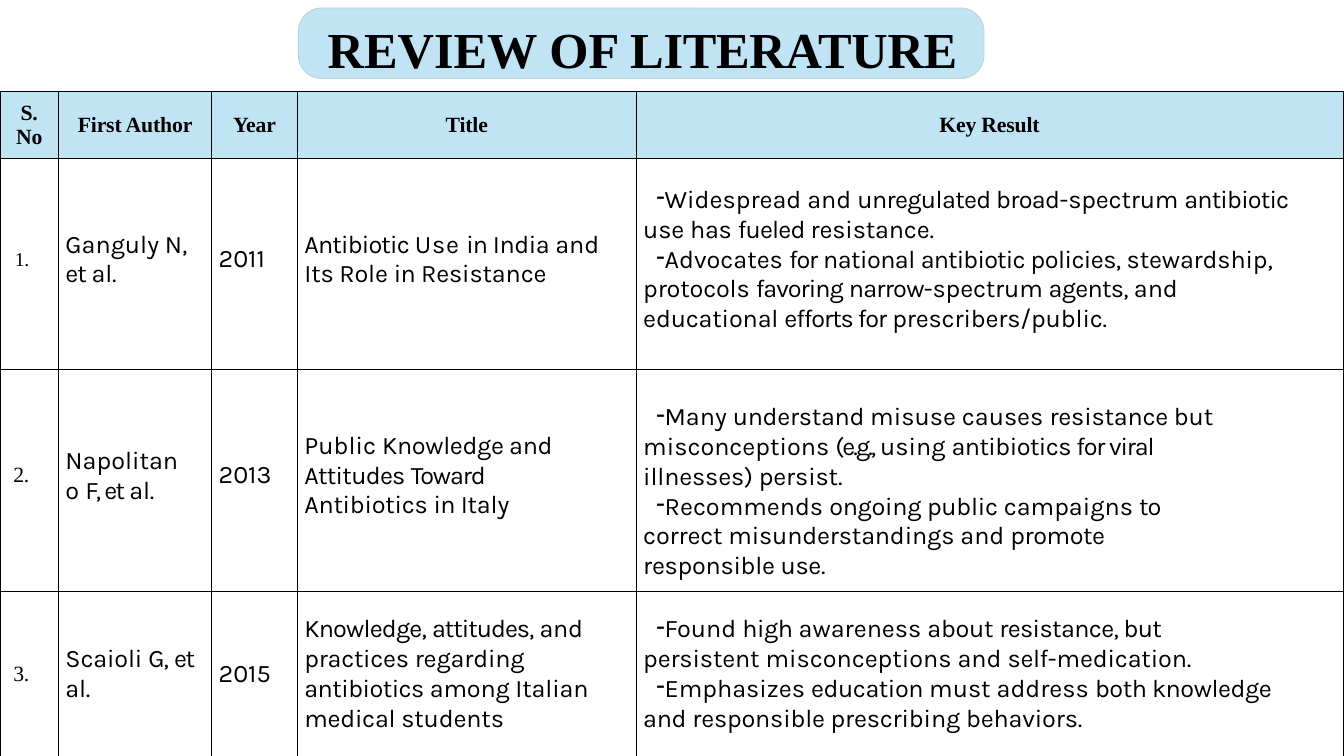
from pptx import Presentation
from pptx.dml.color import RGBColor
from pptx.enum.shapes import MSO_SHAPE as Shape
from pptx.enum.text import MSO_ANCHOR as Anchor, MSO_AUTO_SIZE as AutoSize, PP_ALIGN as Align
from pptx.oxml import parse_xml
from pptx.oxml.ns import nsdecls
from pptx.util import Pt

SCALE = 9144  # EMU per px, 100 px to the inch
SERIF, SANS = "Times New Roman", "Karla"
BLACK, SKY, EDGE = "000000", "C1E4F5", "BED2D7"

COLUMN_WIDTHS = [58, 152, 85, 336, 701]
ROW_HEIGHTS = [66, 210, 214, 169]
HEADERS = [["S.", "No"], ["First Author"], ["Year"], ["Title"], ["Key Result"]]

# A paragraph is a list of (text, letter spacing in points) runs
STUDIES = [
    {
        "number": "1.", "number_size": 14, "year": "2011",
        "author": [("Ganguly N, ", 0), ("et ", -0.8), ("al.", -0.2)],
        "title": [("Antibiotic ", -0.6), ("Use ", 0.5), ("in ", -0.8), ("India ", -0.3),
                  ("and ", 0), ("Its Role ", -0.15), ("in ", -0.5), ("Resistance", -0.1)],
        "results": [
            [("Widespread and ", 0), ("unregulated broad-", -0.45), ("spectrum ", -0.1),
             ("antibiotic ", -0.6), ("use has ", -0.1), ("fueled ", -0.6), ("resistance.", -0.1)],
            [("Advocates ", 0), ("for ", -0.8), ("national ", -0.4), ("antibiotic ", -0.6),
             ("policies, ", -0.4), ("stewardship, protocols ", -0.1), ("favoring ", -0.7),
             ("narrow-", -0.5), ("spectrum ", -0.1), ("agents, ", -0.5), ("and ", 0),
             ("educational ", -0.1), ("efforts for ", -0.75), ("prescribers/public.", -0.1)],
        ],
        "right": {"author": 5, "title": 20, "results": 32}, "bottom": 9, "results_top": 0,
    },
    {
        "number": "2.", "number_size": 15.5, "year": "2013",
        "author": [("Napolitano ", 0), ("F, ", -1.9), ("et ", -1.2), ("al.", -0.2)],
        "title": [("Public ", 0), ("Knowledge and ", -0.25), ("Attitudes ", -0.5),
                  ("Toward ", -0.8), ("Antibiotics ", -0.2), ("in ", -0.5), ("Italy", -0.1)],
        "results": [
            [("Many ", 0), ("understand ", -0.2), ("misuse causes ", 0), ("resistance but ", -0.15),
             ("misconceptions ", 0), ("(e.g., ", -1.4), ("using ", 0), ("antibiotics", -0.4),
             (" for viral ", -0.85), ("illnesses) persist.", -0.1)],
            [("Recommends ", 0), ("ongoing public ", -0.2), ("campaigns ", 0), ("to ", -0.6),
             ("correct misunderstandings ", -0.1), ("and ", 0), ("promote ", -0.3),
             ("responsible use.", -0.2)],
        ],
        "right": {"author": 30, "title": 47, "results": 114}, "bottom": 10, "results_top": 32,
    },
    {
        "number": "3.", "number_size": 15.5, "year": "2015",
        "author": [("Scaioli ", -0.1), ("G, ", -0.6), ("et ", -1), ("al.", -0.2)],
        "title": [("Knowledge, ", -0.6), ("attitudes, ", -0.7), ("and practices ", -0.2),
                  ("regarding ", -0.1), ("antibiotics ", -0.4), ("among Italian ", -0.1),
                  ("medical ", -0.2), ("students", -0.1)],
        "results": [
            [("Found ", 0), ("high ", -0.3), ("awareness ", 0), ("about ", -0.2),
             ("resistance, but ", -0.45), ("persistent ", -0.1), ("misconceptions and ", 0),
             ("self-", -0.3), ("medication.", -0.1)],
            [("Emphasizes ", 0), ("education ", -0.3), ("must address ", 0),
             ("both knowledge ", -0.35), ("and ", -0.2), ("responsible prescribing ", -0.15),
             ("behaviors.", -0.1)],
        ],
        "right": {"author": 5, "title": 47, "results": 64}, "bottom": 5, "results_top": 0,
    },
]


def px(length):
    return int(length * SCALE)


def color(hex_code):
    return RGBColor.from_string(hex_code)


def set_margins(target, left=0, top=0, right=0, bottom=0):
    target.margin_left, target.margin_top = px(left), px(top)
    target.margin_right, target.margin_bottom = px(right), px(bottom)


def add_bullet(paragraph):
    properties = paragraph._p.get_or_add_pPr()
    properties.set("marL", str(px(7)))
    properties.set("indent", str(px(13)))
    properties.append(parse_xml(f'<a:buChar {nsdecls("a")} char="-"/>'))
    properties.append(parse_xml(
        f'<a:tabLst {nsdecls("a")}><a:tab pos="{px(21)}" algn="l"/></a:tabLst>'))


def write_text(frame, paragraphs, font=SANS, size=18, bold=False, align=Align.LEFT,
               line_spacing=None, bullet=False):
    for index, runs in enumerate(paragraphs):
        paragraph = frame.add_paragraph() if index else frame.paragraphs[0]
        if bullet:
            add_bullet(paragraph)
        paragraph.alignment = align
        paragraph.space_before = Pt(0)
        if line_spacing:
            paragraph.line_spacing = line_spacing
        for text, spacing in runs:
            run = paragraph.add_run()
            run.text = text
            run.font.name, run.font.size, run.font.bold = font, Pt(size), bold
            run.font.color.rgb = color(BLACK)
            if spacing:
                run._r.get_or_add_rPr().set("spc", str(round(spacing * 100)))


def set_borders(cell, widths):
    properties = cell._tc.get_or_add_tcPr()
    for index, (side, width) in enumerate(widths.items()):
        properties.insert(index, parse_xml(
            f'<a:ln{side} {nsdecls("a")} w="{Pt(width)}"><a:solidFill>'
            f'<a:srgbClr val="{BLACK}"/></a:solidFill></a:ln{side}>'))


def add_review_table(slide):
    rows, columns = len(ROW_HEIGHTS), len(COLUMN_WIDTHS)
    table = slide.shapes.add_table(rows, columns, 0, px(91), px(sum(COLUMN_WIDTHS)),
                                   px(sum(ROW_HEIGHTS))).table
    table.first_row = table.horz_banding = False
    for column, width in zip(table.columns, COLUMN_WIDTHS):
        column.width = px(width)
    for row, height in zip(table.rows, ROW_HEIGHTS):
        row.height = px(height)

    # Fills and borders, thinner along the outer edges
    for r in range(rows):
        for c in range(columns):
            cell = table.cell(r, c)
            cell.vertical_anchor = Anchor.MIDDLE
            set_margins(cell)
            if r == 0:
                cell.fill.solid()
                cell.fill.fore_color.rgb = color(SKY)
            else:
                cell.fill.background()
            set_borders(cell, {"L": 1 if c else 0.5, "R": 0.5 if c == columns - 1 else 1,
                               "T": 1, "B": 0.5 if r == rows - 1 else 1})

    # Header row
    for c, lines in enumerate(HEADERS):
        write_text(table.cell(0, c).text_frame, [[(line, -0.1)] for line in lines],
                   font=SERIF, size=15.5, bold=True, align=Align.CENTER)

    # One row for each study
    for r, study in enumerate(STUDIES, start=1):
        number, author, year, title, results = (table.cell(r, c) for c in range(columns))
        right, bottom = study["right"], study["bottom"]
        set_margins(number, right=29, bottom=bottom)
        write_text(number.text_frame, [[(study["number"], -0.2)]], font=SERIF,
                   size=study["number_size"], align=Align.RIGHT)
        set_margins(year, left=7, bottom=bottom)
        write_text(year.text_frame, [[(study["year"], 0)]])
        for cell, key in ((author, "author"), (title, "title")):
            set_margins(cell, left=7, right=right[key], bottom=bottom)
            write_text(cell.text_frame, [study[key]], line_spacing=1.01)
        set_margins(results, top=study["results_top"], right=right["results"], bottom=bottom)
        write_text(results.text_frame, study["results"], line_spacing=1.01, bullet=True)


def add_title_panel(slide):
    panel = slide.shapes.add_shape(Shape.ROUNDED_RECTANGLE, px(296), px(8), px(680), px(70))
    panel.adjustments[0] = 0.33
    panel.shadow.inherit = False
    panel.fill.solid()
    panel.fill.fore_color.rgb = color(SKY)
    panel.line.color.rgb = color(EDGE)
    panel.line.width = Pt(0.6)


def set_title(slide):
    title = slide.shapes.title
    title.left, title.top, title.width, title.height = px(9), px(2), px(1316), px(77)
    frame = title.text_frame
    frame.auto_size = AutoSize.NONE
    frame.word_wrap = True
    frame.vertical_anchor = Anchor.TOP
    set_margins(frame, left=316, top=16)
    write_text(frame, [[("REVIEW OF ", 0), ("LITERATURE", -0.2)]],
               font=SERIF, size=36, bold=True, line_spacing=1.0)
    slide.shapes._spTree.append(title._element)  # bring in front of the panel


def main():
    presentation = Presentation()
    presentation.slide_width, presentation.slide_height = px(1333), px(750)
    slide = presentation.slides.add_slide(presentation.slide_layouts[5])
    add_review_table(slide)
    add_title_panel(slide)
    set_title(slide)
    presentation.save("out.pptx")


if __name__ == "__main__":
    main()
